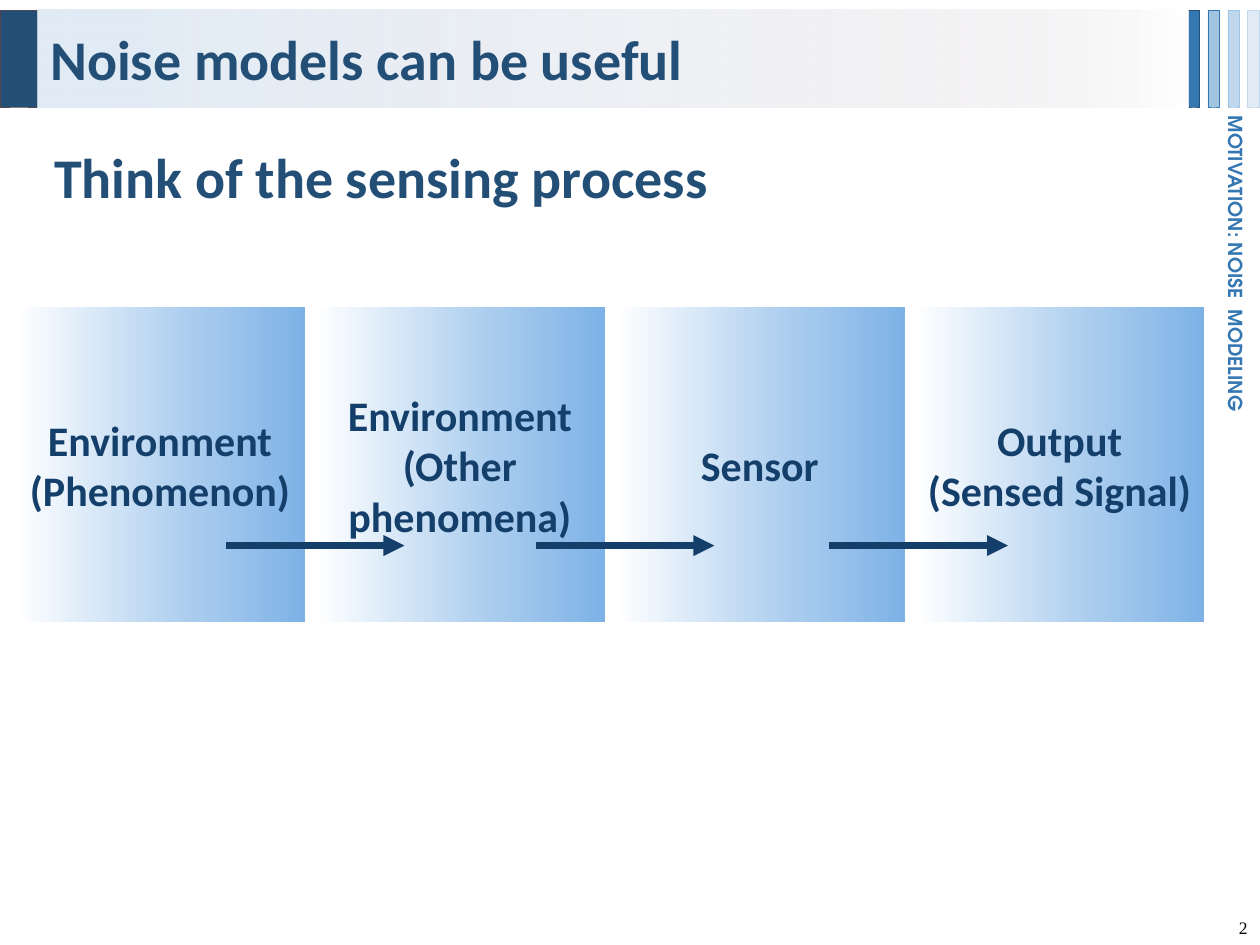
from dataclasses import dataclass

import pptx
import pptx.dml.color
import pptx.enum.shapes
import pptx.enum.text
import pptx.oxml
import pptx.oxml.ns
import pptx.util

Inches = pptx.util.Inches
Pt = pptx.util.Pt
ALIGN = pptx.enum.text.PP_ALIGN
ANCHOR = pptx.enum.text.MSO_ANCHOR
RECTANGLE = pptx.enum.shapes.MSO_SHAPE.RECTANGLE


@dataclass(frozen=True)
class Theme:
    font: str = "Calibri"
    side_font: str = "TeX Gyre Adventor"
    number_font: str = "Times New Roman"
    heading: str = "234F77"
    accent: str = "3477B2"
    process: str = "143F6A"
    number: str = "000000"
    marker_line: str = "504652"
    # Fill and line of each stripe, left to right
    stripes: tuple = (("3477B2", "234F77"), ("A1C4E3", "3477B2"),
                      ("C0D8ED", "A1C4E3"), ("E0EBF6", "C0D8ED"))
    # Position, colour and opacity in percent
    title_gradient: tuple = ((0, "E0EBF6", 100), (83, "EBE9EC", 53), (100, "FFFFFF", 100))
    box_gradient: tuple = ((0, "FFFFFF", 100), (62, "A9CCEE", 100), (100, "7EB2E6", 100))
    heading_size: int = 32
    box_size: int = 24
    side_size: int = 11
    number_size: int = 10


THEME = Theme()


def rgb(colour):
    return pptx.dml.color.RGBColor.from_string(colour)


def fill_gradient(shape, stops):
    """Fill from left to right with any number of stops."""
    shape.fill.gradient()
    shape.fill.gradient_angle = 0
    stop_list = shape._element.spPr.find(".//" + pptx.oxml.ns.qn("a:gsLst"))
    for old_stop in list(stop_list):
        stop_list.remove(old_stop)
    for position, colour, opacity in stops:
        stop_list.append(pptx.oxml.parse_xml(
            f'<a:gs {pptx.oxml.ns.nsdecls("a")} pos="{position * 1000}">'
            f'<a:srgbClr val="{colour}"><a:alpha val="{opacity * 1000}"/>'
            f'</a:srgbClr></a:gs>'))


def add_rectangle(slide, left, top, width, height, fill, line=None):
    """Add a rectangle whose fill is a colour or a tuple of gradient stops."""
    shape = slide.shapes.add_shape(
        RECTANGLE, Inches(left), Inches(top), Inches(width), Inches(height))
    shape.shadow.inherit = False
    if isinstance(fill, str):
        shape.fill.solid()
        shape.fill.fore_color.rgb = rgb(fill)
    else:
        fill_gradient(shape, fill)
    if line:
        shape.line.color.rgb = rgb(line)
        shape.line.width = Pt(0.25)
    else:
        shape.line.fill.background()
    return shape


def write_text(shape, lines, size, colour, font=THEME.font, bold=True,
               align=ALIGN.LEFT, anchor=ANCHOR.MIDDLE):
    frame = shape.text_frame
    frame.word_wrap = True
    frame.vertical_anchor = anchor
    for index, line in enumerate(lines):
        paragraph = frame.paragraphs[0] if index == 0 else frame.add_paragraph()
        paragraph.alignment = align
        run = paragraph.add_run()
        run.text = line
        run.font.name = font
        run.font.size = Pt(size)
        run.font.bold = bold
        run.font.color.rgb = rgb(colour)


def add_text(slide, left, top, width, height, text, size, colour, **style):
    box = slide.shapes.add_textbox(
        Inches(left), Inches(top), Inches(width), Inches(height))
    write_text(box, [text], size, colour, anchor=ANCHOR.TOP, **style)
    return box


def add_arrow(slide, start, end, y):
    arrow = slide.shapes.add_connector(
        pptx.enum.shapes.MSO_CONNECTOR.STRAIGHT,
        Inches(start), Inches(y), Inches(end), Inches(y))
    arrow.line.color.rgb = rgb(THEME.process)
    arrow.line.width = Pt(4)
    namespace = pptx.oxml.ns.nsdecls("a")
    arrow.line._get_or_add_ln().append(
        pptx.oxml.parse_xml(f'<a:tailEnd {namespace} type="triangle"/>'))
    arrow._element.spPr.append(pptx.oxml.parse_xml(f"<a:effectLst {namespace}/>"))


def add_header(slide):
    top, height = 0.08, 0.77
    for index, (fill, line) in enumerate(THEME.stripes):
        add_rectangle(slide, 9.43 + index * 0.157, top, 0.09, height, fill, line)
    add_rectangle(slide, 0, top, 0.3, height, THEME.heading, THEME.marker_line)
    title = add_rectangle(slide, 0.3, top, 9.13, height, THEME.title_gradient)
    write_text(title, ["Noise models can be useful"], THEME.heading_size, THEME.heading)


def add_process(slide):
    stages = (("Environment", "(Phenomenon)"),
              ("Environment", "(Other phenomena)"),
              ("Sensor",),
              ("Output", "(Sensed Signal)"))
    for index, lines in enumerate(stages):
        box = add_rectangle(slide, 0.12 + index * 2.38, 2.44, 2.3, 2.5, THEME.box_gradient)
        write_text(box, lines, THEME.box_size, THEME.process, align=ALIGN.CENTER)
    for start in (1.79, 4.25, 6.58):
        add_arrow(slide, start, start + 1.42, 4.33)


def main():
    presentation = pptx.Presentation()
    presentation.slide_width = Inches(10)
    presentation.slide_height = Inches(7.5)
    slide = presentation.slides.add_slide(presentation.slide_layouts[6])

    add_header(slide)
    add_text(slide, 9.63, 7.23, 0.37, 0.27, "2", THEME.number_size, THEME.number,
             font=THEME.number_font, bold=False, align=ALIGN.RIGHT)
    body = add_text(slide, 0.25, 1.08, 9.28, 5.92, "Think of the sensing process",
                    THEME.heading_size, THEME.heading)
    body.text_frame.margin_left = Inches(0.18)
    side_label = add_text(slide, 8.45, 2.03, 2.71, 0.29, "MOTIVATION: NOISE  MODELING",
                          THEME.side_size, THEME.accent, font=THEME.side_font)
    side_label.rotation = 90
    add_process(slide)

    presentation.save("out.pptx")


if __name__ == "__main__":
    main()
